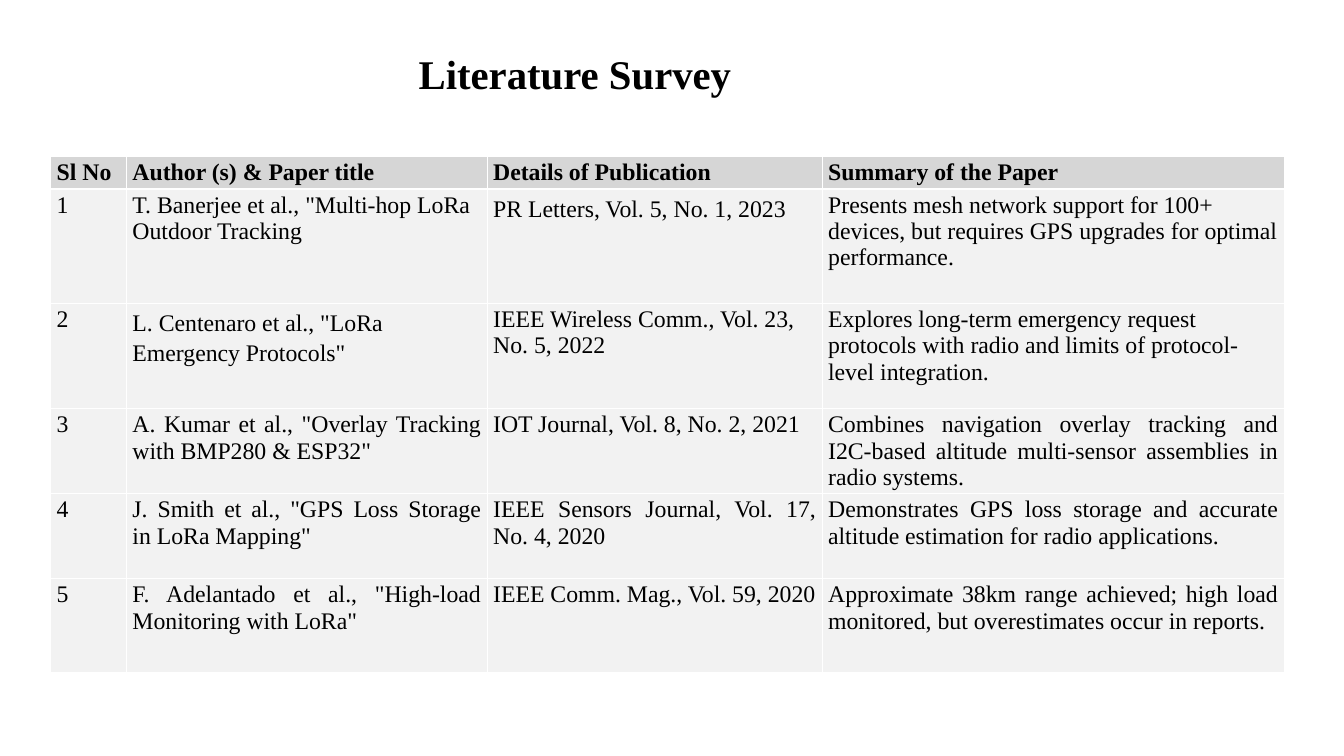
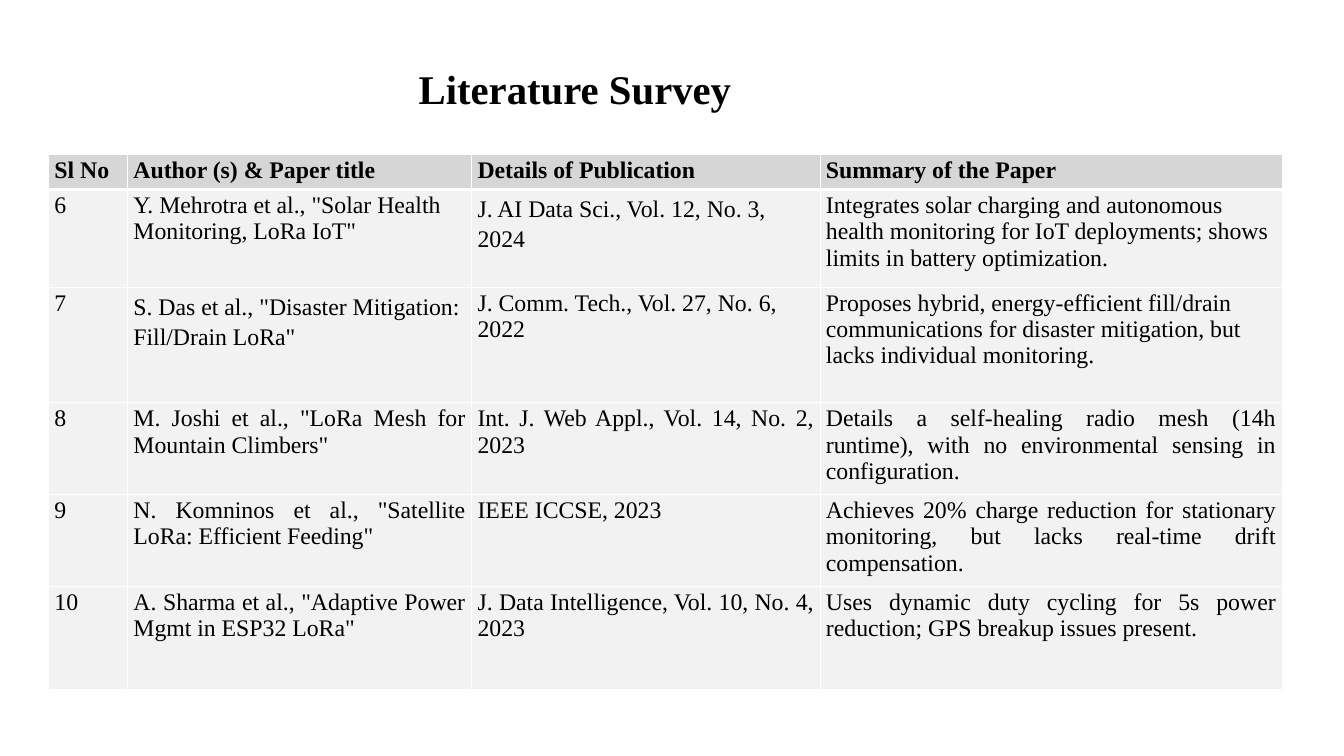
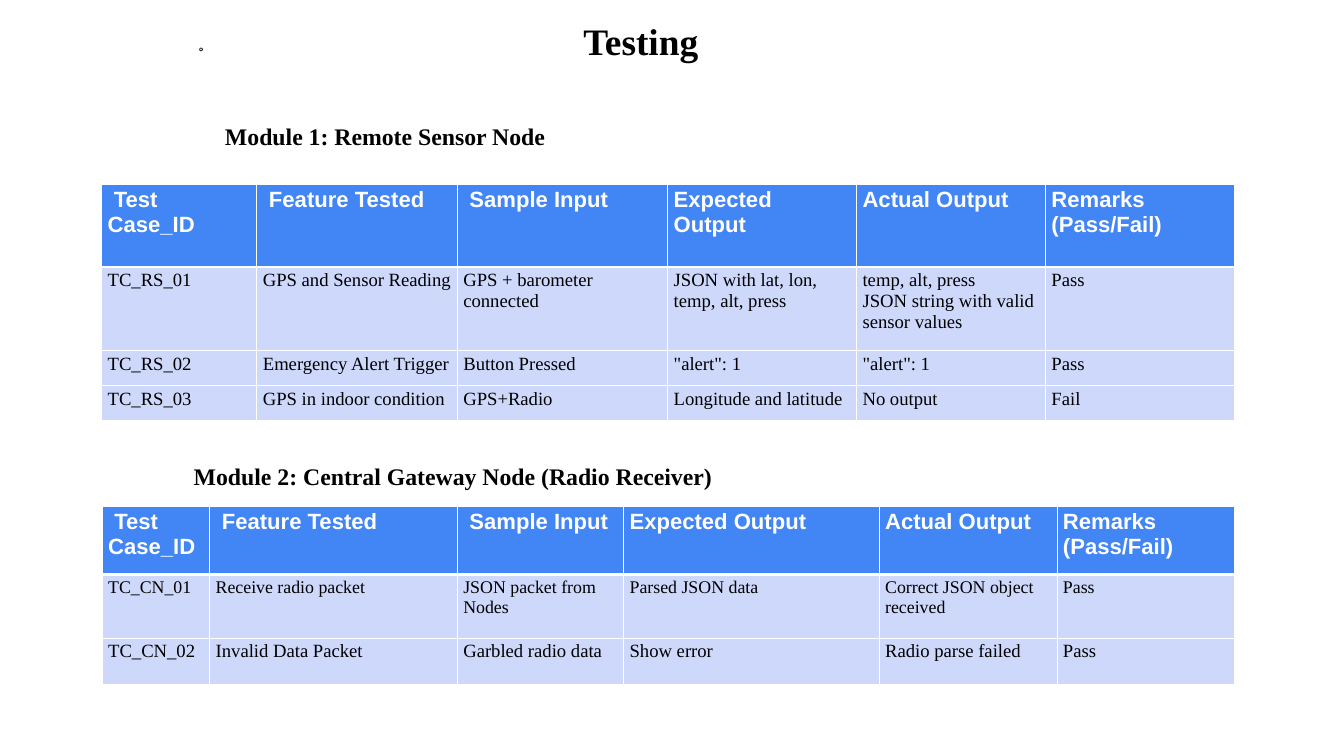
"""Build three slides: two literature survey tables and one testing report."""
from dataclasses import dataclass

from lxml.etree import SubElement
from pptx import Presentation as new_presentation
from pptx.dml.color import RGBColor
from pptx.enum.shapes import MSO_SHAPE as Shape
from pptx.enum.text import MSO_ANCHOR as Anchor, PP_ALIGN as Align
from pptx.oxml.ns import qn
from pptx.presentation import Presentation
from pptx.slide import Slide
from pptx.table import _Cell as Cell
from pptx.text.text import TextFrame
from pptx.util import Cm, Pt

SERIF, SANS = "Times New Roman", "Arial"
BLACK, WHITE, MARK_INK = "000000", "FFFFFF", "231F20"
THIN, THICK = 0.96, 3


@dataclass(frozen=True)
class TextStyle:
    size: float
    font: str = SERIF
    color: str = BLACK
    bold: bool = False


@dataclass(frozen=True)
class TableTheme:
    header_style: TextStyle
    header_fill: str
    body_fill: str


@dataclass(frozen=True)
class TableLayout:
    left: float
    top: float
    columns: tuple[float, ...]
    rows: tuple[float, ...]


@dataclass(frozen=True)
class Label:
    text: str
    left: float
    top: float
    width: float
    height: float
    style: TextStyle


SURVEY_TITLE = TextStyle(48, bold=True)
TESTING_TITLE = TextStyle(44, bold=True)
MODULE_HEADING = TextStyle(28, bold=True)
SURVEY_THEME = TableTheme(TextStyle(28, bold=True), "D6D6D6", "F2F2F2")
TESTING_THEME = TableTheme(TextStyle(26, SANS, WHITE, True), "4285F4", "CDD8FB")
SURVEY_BODY_SIZE = 28
FIRST_JUSTIFIED_ROW = 3
LOOSE_CELLS = ((1, 2), (2, 1))
LOOSE_SPACING = 1.15

SURVEY_HEADER = ("Sl No", "Author (s) & Paper title", "Details of Publication",
                 "Summary of the Paper")
TESTING_HEADER = (" Test Case_ID", " Feature Tested", " Sample Input",
                  "Expected Output", "Actual Output", "Remarks (Pass/Fail)")

SURVEY_PAGES = (
    (
        Label("Literature Survey", 17.15, 1.9, 18.3, 3.53, SURVEY_TITLE),
        TableLayout(2.1, 6.5, (3.15, 14.99, 13.92, 19.2),
                    (1.35, 4.76, 4.37, 3.53, 3.53, 3.91)),
        (
            ("1", 'T. Banerjee et al., "Multi-hop LoRa Outdoor Tracking',
             "PR Letters, Vol. 5, No. 1, 2023",
             "Presents mesh network support for 100+ devices, but requires GPS "
             "upgrades for optimal performance."),
            ("2", 'L. Centenaro et al., "LoRa Emergency Protocols"',
             "IEEE Wireless Comm., Vol. 23, No. 5, 2022",
             "Explores long-term emergency request protocols with radio and limits "
             "of protocol-level integration."),
            ("3", 'A. Kumar et al., "Overlay Tracking with BMP280 & ESP32"',
             "IOT Journal, Vol. 8, No. 2, 2021",
             "Combines navigation overlay tracking and I2C-based altitude "
             "multi-sensor assemblies in radio systems."),
            ("4", 'J. Smith et al., "GPS Loss Storage in LoRa Mapping"',
             "IEEE Sensors Journal, Vol. 17, No. 4, 2020",
             "Demonstrates GPS loss storage and accurate altitude estimation for "
             "radio applications."),
            ("5", 'F. Adelantado et al., "High-load Monitoring with LoRa"',
             "IEEE Comm. Mag., Vol. 59, 2020",
             "Approximate 38km range achieved; high load monitored, but "
             "overestimates occur in reports."),
        ),
    ),
    (
        Label("Literature Survey", 17.15, 2.54, 16.5, 3.84, SURVEY_TITLE),
        TableLayout(2.01, 6.43, (3.28, 14.3, 14.48, 19.2),
                    (1.35, 4.06, 4.8, 3.53, 3.53, 4.29)),
        (
            ("6", 'Y. Mehrotra et al., "Solar Health Monitoring, LoRa IoT"',
             "J. AI Data Sci., Vol. 12, No. 3, 2024",
             "Integrates solar charging and autonomous health monitoring for IoT "
             "deployments; shows limits in battery optimization."),
            ("7", 'S. Das et al., "Disaster Mitigation: Fill/Drain LoRa"',
             "J. Comm. Tech., Vol. 27, No. 6, 2022",
             "Proposes hybrid, energy-efficient fill/drain communications for "
             "disaster mitigation, but lacks individual monitoring."),
            ("8", 'M. Joshi et al., "LoRa Mesh for Mountain Climbers"',
             "Int. J. Web Appl., Vol. 14, No. 2, 2023",
             "Details a self-healing radio mesh (14h runtime), with no "
             "environmental sensing in configuration."),
            ("9", 'N. Komninos et al., "Satellite LoRa: Efficient Feeding"',
             "IEEE ICCSE, 2023",
             "Achieves 20% charge reduction for stationary monitoring, but lacks "
             "real-time drift compensation."),
            ("10", 'A. Sharma et al., "Adaptive Power Mgmt in ESP32 LoRa"',
             "J. Data Intelligence, Vol. 10, No. 4, 2023",
             "Uses dynamic duty cycling for 5s power reduction; GPS breakup "
             "issues present."),
        ),
    ),
)

TESTING_MODULES = (
    (
        Label("Module 1: Remote Sensor Node", 9.1, 4.93, 21.4, 3.07, MODULE_HEADING),
        TableLayout(4.22, 7.67, (6.45, 8.33, 8.74, 7.85, 7.85, 7.85),
                    (3.43, 3.48, 1.45, 1.45)),
        (22, 22, 22),
        (
            ("TC_RS_01", "GPS and Sensor Reading", "GPS + barometer connected",
             "JSON with lat, lon, temp, alt, press",
             "temp, alt, press\nJSON string with valid sensor values", "Pass"),
            ("TC_RS_02", "Emergency Alert Trigger", "Button Pressed",
             '"alert": 1', '"alert": 1', "Pass"),
            ("TC_RS_03", "GPS in indoor condition", "GPS+Radio",
             "Longitude and latitude", "No output", "Fail"),
        ),
    ),
    (
        Label("Module 2: Central Gateway Node (Radio Receiver)", 7.8, 19.05, 24.6, 2.44,
              MODULE_HEADING),
        TableLayout(4.24, 21.06, (4.47, 10.29, 6.91, 10.62, 7.39, 7.39),
                    (2.82, 2.64, 1.93)),
        (21, 22),
        (
            ("TC_CN_01", "Receive radio packet", "JSON packet from Nodes",
             "Parsed JSON data", "Correct JSON object received", "Pass"),
            ("TC_CN_02", "Invalid Data Packet", "Garbled radio data",
             "Show error", "Radio parse failed", "Pass"),
        ),
    ),
)


def rgb(value: str) -> RGBColor:
    return RGBColor.from_string(value)


def write_text(frame: TextFrame, text: str, style: TextStyle,
               alignment: Align = Align.LEFT, spacing: float | None = None) -> None:
    frame.text = text
    for paragraph in frame.paragraphs:
        paragraph.alignment = alignment
        paragraph.line_spacing = spacing
        for run in paragraph.runs:
            run.font.name = style.font
            run.font.size = Pt(style.size)
            run.font.bold = style.bold
            run.font.color.rgb = rgb(style.color)


def add_label(slide: Slide, label: Label) -> TextFrame:
    box = slide.shapes.add_textbox(Cm(label.left), Cm(label.top),
                                   Cm(label.width), Cm(label.height))
    box.text_frame.word_wrap = True
    write_text(box.text_frame, label.text, label.style)
    return box.text_frame


def set_borders(cell: Cell, top: float, bottom: float) -> None:
    properties = cell._tc.get_or_add_tcPr()
    for side, width in (("L", THIN), ("R", THIN), ("T", top), ("B", bottom)):
        line = SubElement(properties, qn(f"a:ln{side}"), w=str(int(Pt(width))))
        fill = SubElement(line, qn("a:solidFill"))
        SubElement(fill, qn("a:srgbClr"), val=WHITE)


def paint_cell(cell: Cell, fill: str, top: float = THIN, bottom: float = THIN) -> None:
    set_borders(cell, top, bottom)
    cell.fill.solid()
    cell.fill.fore_color.rgb = rgb(fill)


def add_styled_table(slide: Slide, layout: TableLayout, theme: TableTheme,
                     header: tuple[str, ...], body: tuple[tuple[str, ...], ...],
                     sizes: tuple[float, ...], survey: bool = False) -> None:
    table = slide.shapes.add_table(
        len(layout.rows), len(layout.columns), Cm(layout.left), Cm(layout.top),
        Cm(sum(layout.columns)), Cm(sum(layout.rows))).table
    table.horz_banding = False
    for column, width in zip(table.columns, layout.columns):
        column.width = Cm(width)
    for row, height in zip(table.rows, layout.rows):
        row.height = Cm(height)
    for column, text in enumerate(header):
        cell = table.cell(0, column)
        paint_cell(cell, theme.header_fill, bottom=THICK)
        write_text(cell.text_frame, text, theme.header_style)
    for row, (values, size) in enumerate(zip(body, sizes), start=1):
        for column, text in enumerate(values):
            cell = table.cell(row, column)
            paint_cell(cell, theme.body_fill, top=THICK if row == 1 else THIN)
            justified = survey and row >= FIRST_JUSTIFIED_ROW and column > 0
            loose = survey and (row, column) in LOOSE_CELLS
            write_text(cell.text_frame, text, TextStyle(size),
                       Align.JUSTIFY if justified else Align.LEFT,
                       LOOSE_SPACING if loose else None)


def add_blank_slide(presentation: Presentation) -> Slide:
    return presentation.slides.add_slide(presentation.slide_layouts[6])


def add_small_mark(slide: Slide) -> None:
    mark = slide.shapes.add_shape(Shape.DONUT, Cm(8.28), Cm(1.98), Cm(0.15), Cm(0.15))
    mark.shadow.inherit = False
    mark.fill.solid()
    mark.fill.fore_color.rgb = rgb(MARK_INK)
    mark.line.fill.background()


def build_survey_slides(presentation: Presentation) -> None:
    for title, layout, body in SURVEY_PAGES:
        slide = add_blank_slide(presentation)
        add_styled_table(slide, layout, SURVEY_THEME, SURVEY_HEADER, body,
                         (SURVEY_BODY_SIZE,) * len(body), survey=True)
        add_label(slide, title)


def build_testing_slide(presentation: Presentation) -> None:
    slide = add_blank_slide(presentation)
    add_small_mark(slide)
    title = add_label(slide, Label("Testing", 14.05, 0.81, 25.17, 1.75, TESTING_TITLE))
    title.margin_left = title.margin_right = title.margin_top = title.margin_bottom = 0
    title.vertical_anchor = Anchor.MIDDLE
    title.paragraphs[0].alignment = Align.CENTER
    for heading, layout, sizes, body in TESTING_MODULES:
        add_label(slide, heading)
        add_styled_table(slide, layout, TESTING_THEME, TESTING_HEADER, body, sizes)


def main() -> None:
    presentation = new_presentation()
    presentation.slide_width = Cm(55.85)
    presentation.slide_height = Cm(31.42)
    build_survey_slides(presentation)
    build_testing_slide(presentation)
    presentation.save("out.pptx")


if __name__ == "__main__":
    main()
